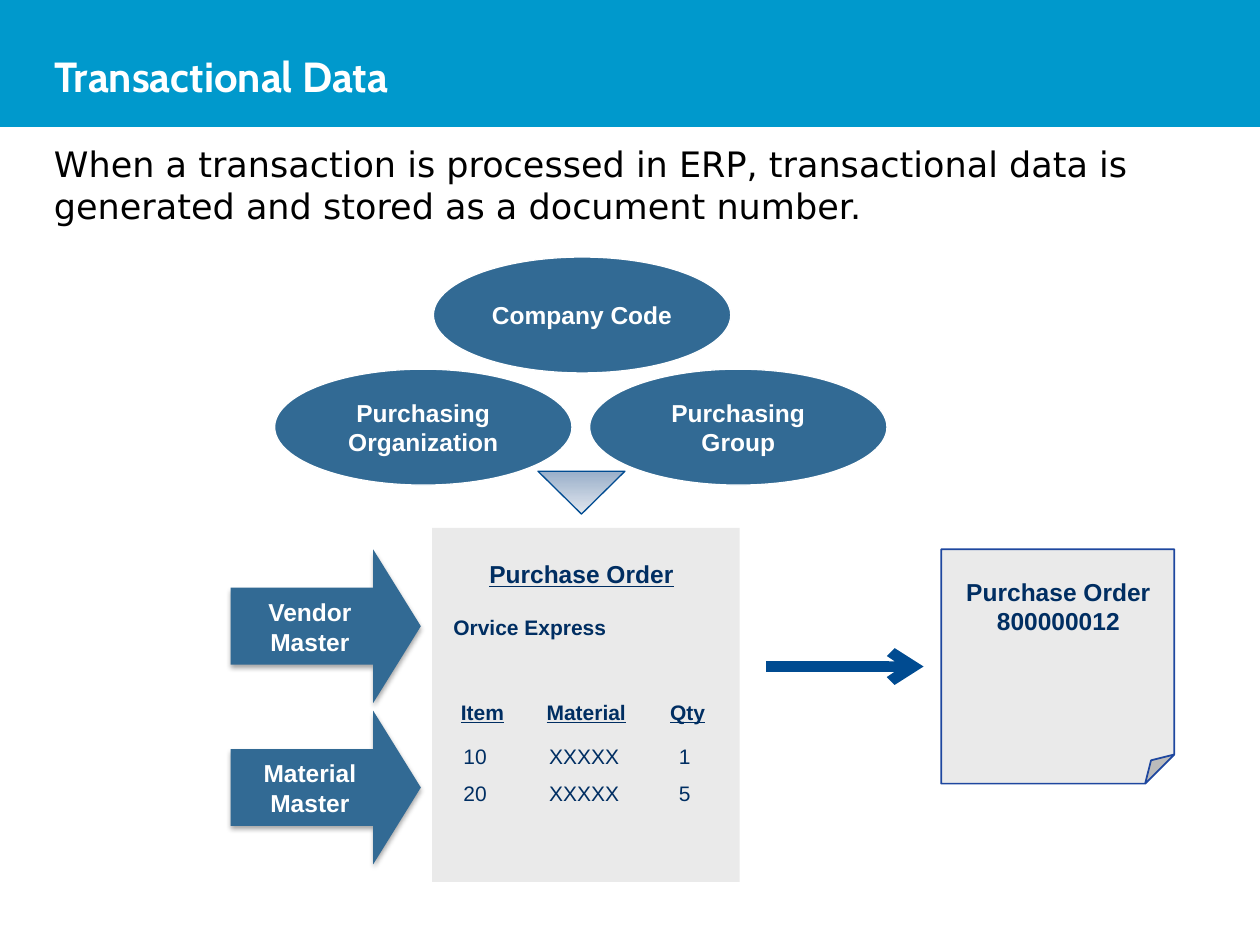
import lxml.etree
import pptx
import pptx.dml.color
import pptx.enum.shapes
import pptx.enum.text
import pptx.oxml
import pptx.oxml.ns
import pptx.util

Inches = pptx.util.Inches
Pt = pptx.util.Pt
SHAPE = pptx.enum.shapes.MSO_SHAPE
ALIGN = pptx.enum.text.PP_ALIGN
ANCHOR = pptx.enum.text.MSO_ANCHOR
COLORS = {
    "header": "0099CC", "steel": "326A94", "paper": "EAEAEA", "navy": "002E62",
    "white": "FFFFFF", "black": "000000", "blue": "004B91", "edge": "1E479F",
    "haze": "9AAFCA", "mist": "E1E7EE",
}


def color(name):
    """Look up a named colour."""
    return pptx.dml.color.RGBColor.from_string(COLORS[name])


def write(frame, lines, size, ink, bold=False, underline=False,
          align=ALIGN.LEFT, anchor=ANCHOR.TOP, font="Arial"):
    """Fill a text frame with one paragraph for each line."""
    frame.word_wrap = True
    frame.vertical_anchor = anchor
    for index, line in enumerate(lines):
        para = frame.add_paragraph() if index else frame.paragraphs[0]
        para.alignment = align
        if index:
            para.space_before = Pt(7)
        span = para.add_run()
        span.text = line
        span.font.name = font
        span.font.size = Pt(size)
        span.font.bold = bold
        span.font.underline = underline
        span.font.color.rgb = color(ink)


def add_text(page, area, lines, size, ink, **style):
    """Place a text box in the given area."""
    box = page.shapes.add_textbox(*map(Inches, area))
    write(box.text_frame, lines, size, ink, **style)


def add_figure(page, kind, area, fill, edge=None, width=0.75):
    """Place a preset shape without a shadow."""
    figure = page.shapes.add_shape(kind, *map(Inches, area))
    figure.shadow.inherit = False
    figure.fill.solid()
    figure.fill.fore_color.rgb = color(fill)
    if edge:
        figure.line.color.rgb = color(edge)
        figure.line.width = Pt(width)
    else:
        figure.line.fill.background()
    return figure


def add_header(page, area):
    """Place the title on its coloured band."""
    left, top, width, height = area
    band = add_figure(page, SHAPE.RECTANGLE, area, "header", "header")
    title = page.shapes.title
    title.element.addprevious(band.element)
    title.left, title.top = Inches(left + 0.33), Inches(top + 0.25)
    title.width, title.height = Inches(width - 0.69), Inches(height - 0.3)
    write(title.text_frame, ["Transactional Data"], 24, "white", bold=True,
          anchor=ANCHOR.MIDDLE, font="Cabin")


def add_organization(page, area):
    """Place three ellipses in a pyramid above a downward triangle."""
    left, top, width, height = area
    oval_width, oval_height = 2.36, 0.92
    lower = top + 0.89
    places = [
        ("Company Code", left + 1.26, top),
        ("Purchasing Organization", left, lower),
        ("Purchasing Group", left + width - oval_width, lower),
    ]
    for label, x, y in places:
        oval = add_figure(page, SHAPE.OVAL, (x, y, oval_width, oval_height), "steel", "white")
        write(oval.text_frame, [label], 14, "white", bold=True,
              align=ALIGN.CENTER, anchor=ANCHOR.MIDDLE)
    pointer = add_figure(page, SHAPE.ISOSCELES_TRIANGLE,
                         (left + 2.09, top + height - 0.34, 0.69, 0.34), "haze", "blue")
    pointer.rotation = 180
    pointer.fill.gradient()
    pointer.fill.gradient_angle = 90
    for stop, name in zip(pointer.fill.gradient_stops, ("haze", "mist")):
        stop.color.rgb = color(name)


def add_shadow(figure):
    """Give a shape a soft shadow straight below it."""
    effects = figure.element.spPr.find(pptx.oxml.ns.qn("a:effectLst"))
    effects.append(pptx.oxml.parse_xml(
        f'<a:outerShdw {pptx.oxml.ns.nsdecls("a")} blurRad="{Pt(3.1)}" dist="{Pt(1.8)}" '
        f'dir="5400000" rotWithShape="0"><a:srgbClr val="{COLORS["black"]}">'
        '<a:alpha val="35000"/></a:srgbClr></a:outerShdw>'))


def add_master(page, area, label):
    """Place a labelled block arrow for one kind of master data."""
    left, top, width, height = area
    arrow = add_figure(page, SHAPE.RIGHT_ARROW, area, "steel")
    arrow.adjustments[0], arrow.adjustments[1] = 0.5, 0.31
    add_shadow(arrow)
    add_text(page, (left + 0.1, top + 0.33, 1.06, 0.57), [label], 14, "white",
             bold=True, align=ALIGN.CENTER)


def add_order(page, area):
    """Place the purchase order form with its item columns."""
    left, top, width, height = area
    add_figure(page, SHAPE.RECTANGLE, area, "paper")
    add_text(page, (left - 0.05, top + 0.2, 2.47, 0.33), ["Purchase Order"], 14, "navy",
             bold=True, underline=True, align=ALIGN.CENTER)
    add_text(page, (left + 0.07, top + 0.64, 1.74, 0.3), ["Orvice Express"], 12, "navy", bold=True)
    columns = [
        ("Item", 0.13, 0.65, ["10", "20"], 0.15, 0.43),
        ("Material", 0.81, 0.86, ["XXXXX", "XXXXX"], 0.83, 0.79),
        ("Qty", 1.79, 0.65, ["1", "5"], 1.86, 0.43),
    ]
    for heading, head_x, head_width, values, value_x, value_width in columns:
        add_text(page, (left + head_x, top + 1.31, head_width, 0.3), [heading], 12, "navy",
                 bold=True, underline=True)
        add_text(page, (left + value_x, top + 1.66, value_width, 0.6), values, 12, "navy")


def add_document(page, area):
    """Place the numbered document on a folded sheet."""
    left, top, width, height = area
    sheet = add_figure(page, SHAPE.FOLDED_CORNER, area, "paper", "edge", 1)
    geometry = sheet.element.spPr.find(pptx.oxml.ns.qn("a:prstGeom"))
    guides = geometry.find(pptx.oxml.ns.qn("a:avLst"))
    lxml.etree.SubElement(guides, pptx.oxml.ns.qn("a:gd"), name="adj", fmla="val 12500")
    add_text(page, (left + 0.04, top + 0.17, 1.78, 0.57), ["Purchase Order 800000012"],
             14, "navy", bold=True, align=ALIGN.CENTER)


def add_flow(page, start, end, y):
    """Place a thick horizontal arrow."""
    flow = page.shapes.add_connector(pptx.enum.shapes.MSO_CONNECTOR.STRAIGHT,
                                     Inches(start), Inches(y), Inches(end), Inches(y))
    flow.line.color.rgb = color("blue")
    flow.line.width = Pt(6)
    properties = flow.element.spPr
    lxml.etree.SubElement(properties.find(pptx.oxml.ns.qn("a:ln")),
                          pptx.oxml.ns.qn("a:tailEnd"), type="arrow")
    lxml.etree.SubElement(properties, pptx.oxml.ns.qn("a:effectLst"))


def main():
    """Build the slide and save the deck."""
    deck = pptx.Presentation()
    deck.slide_width, deck.slide_height = Inches(10), Inches(7.5)
    page = deck.slides.add_slide(deck.slide_layouts[5])
    page.background.fill.solid()
    page.background.fill.fore_color.rgb = color("white")
    add_header(page, (0, 0, 10, 1))
    add_text(page, (0.33, 1.08, 9.34, 5.62),
             ["When a transaction is processed in ERP, transactional data is "
              "generated and stored as a document number."],
             20, "black", font="DejaVu Sans")
    for index, label in enumerate(("Vendor Master", "Material Master")):
        add_master(page, (1.83, 4.36 + 1.28 * index, 1.51, 1.22), label)
    add_order(page, (3.43, 4.19, 2.44, 2.81))
    add_organization(page, (2.18, 2.04, 4.86, 2.04))
    add_document(page, (7.47, 4.36, 1.85, 1.86))
    add_flow(page, 6.08, 7.33, 5.29)
    deck.save("out.pptx")


if __name__ == "__main__":
    main()
